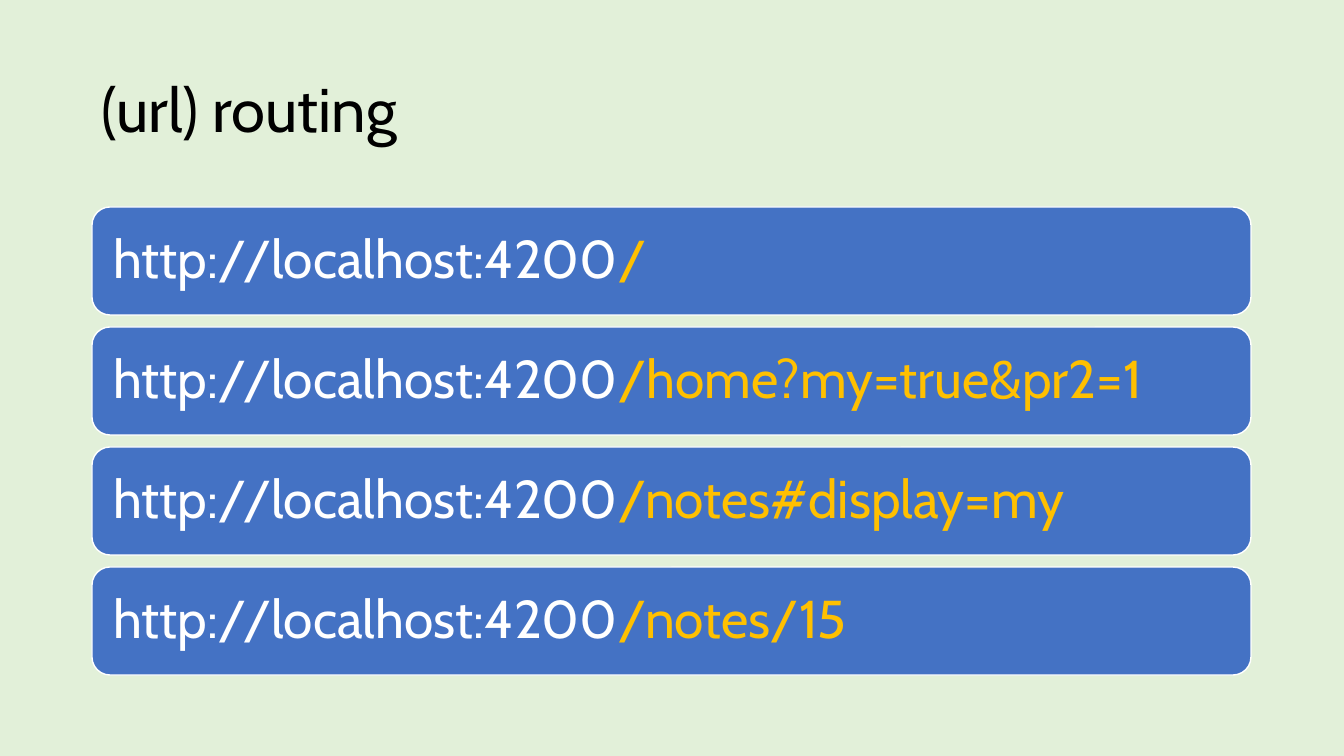
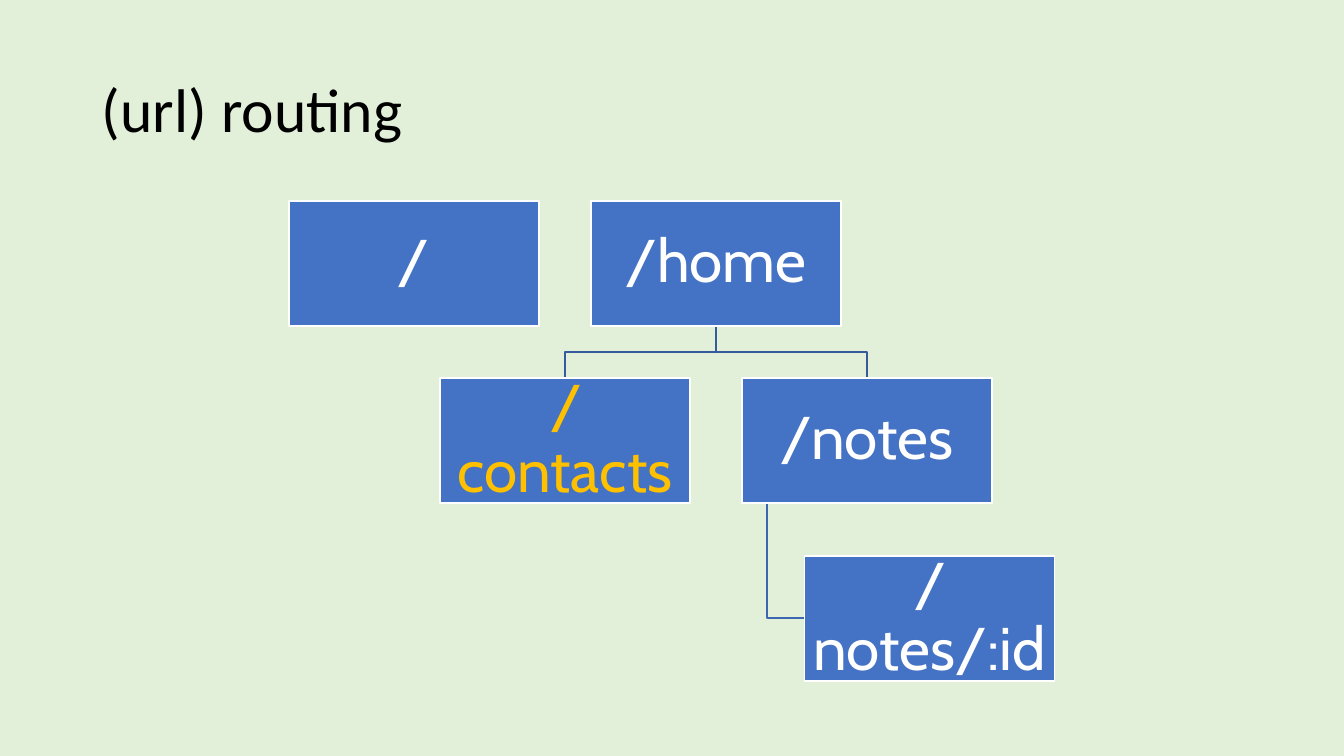
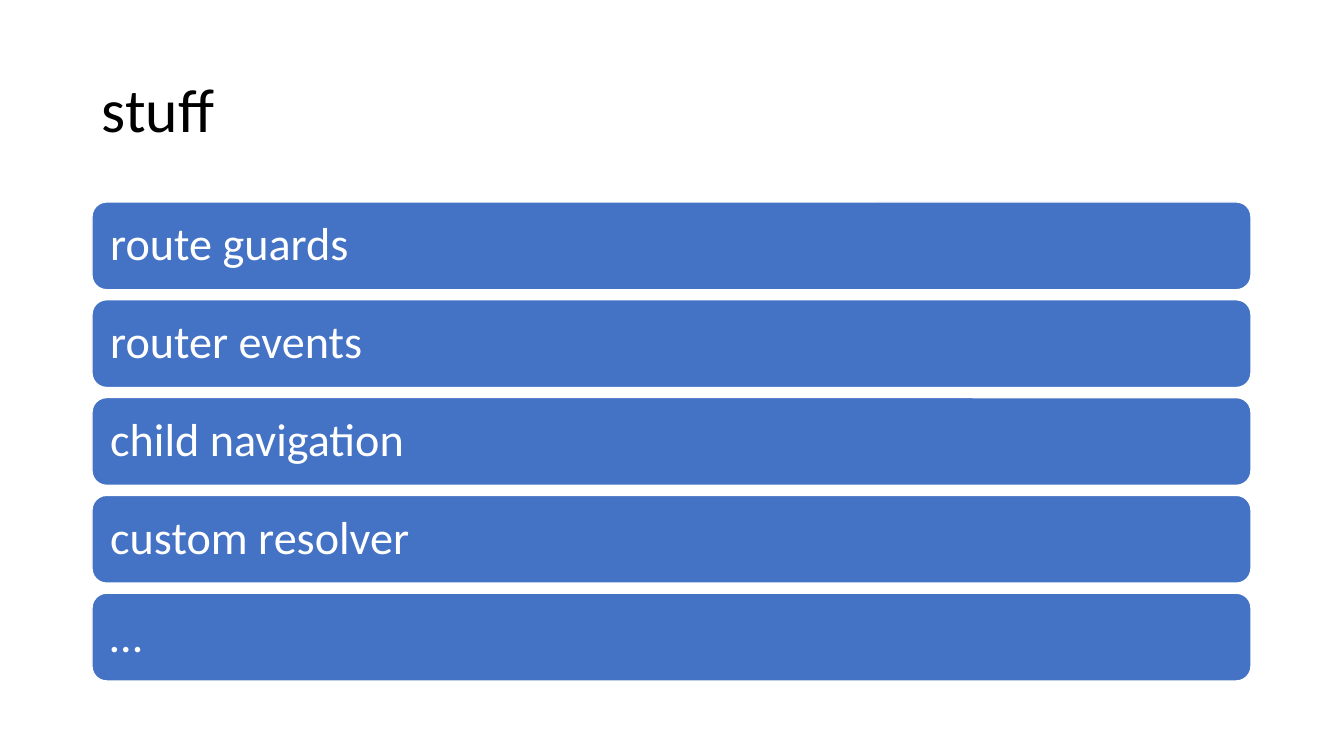
from dataclasses import dataclass

from pptx import Presentation
from pptx.dml.color import RGBColor as Color
from pptx.enum.shapes import MSO_SHAPE as Shape
from pptx.enum.text import MSO_ANCHOR as Anchor, MSO_AUTO_SIZE as AutoSize, PP_ALIGN as Align
from pptx.util import Emu, Pt

SLIDE_WIDTH, SLIDE_HEIGHT = 1344, 756
EMU_PER_PX = 12192000 / SLIDE_WIDTH


@dataclass(frozen=True)
class Theme:
    green: Color = Color.from_string("E2F0D9")
    white: Color = Color.from_string("FFFFFF")
    black: Color = Color.from_string("000000")
    blue: Color = Color.from_string("4472C4")
    amber: Color = Color.from_string("FFC000")
    branch: Color = Color.from_string("365B9D")
    sub_branch: Color = Color.from_string("3E67B2")
    display_font: str = "Cabin"
    plain_font: str = "Calibri"
    title_size: int = 44
    node_size: int = 43
    url_size: int = 38
    topic_size: int = 33
    line_width: int = 1
    line_spacing: float = 0.9


@dataclass(frozen=True)
class Box:
    left: float
    top: float
    width: float
    height: float

    @property
    def center(self):
        return self.left + self.width / 2

    @property
    def middle(self):
        return self.top + self.height / 2

    @property
    def bottom(self):
        return self.top + self.height


THEME = Theme()
TITLE_BOX = Box(92, 40, 1159, 146)


def px(length):
    return Emu(round(length * EMU_PER_PX))


def place(box):
    return px(box.left), px(box.top), px(box.width), px(box.height)


def write_line(text_frame, parts, font, size, align, margin):
    text_frame.word_wrap = True
    text_frame.auto_size = AutoSize.NONE
    text_frame.vertical_anchor = Anchor.MIDDLE
    text_frame.margin_left = text_frame.margin_right = px(margin)
    text_frame.margin_top = text_frame.margin_bottom = px(margin)
    paragraph = text_frame.paragraphs[0]
    paragraph.alignment = align
    paragraph.line_spacing = THEME.line_spacing
    for text, color in parts:
        run = paragraph.add_run()
        run.text = text
        run.font.name = font
        run.font.size = Pt(size)
        run.font.color.rgb = color


def add_titled_slide(presentation, title, font, background):
    slide = presentation.slides.add_slide(presentation.slide_layouts.get_by_name("Title Only"))
    slide.background.fill.solid()
    slide.background.fill.fore_color.rgb = background
    shape = slide.shapes.title
    shape.left, shape.top, shape.width, shape.height = place(TITLE_BOX)
    write_line(shape.text_frame, [(title, THEME.black)], font, THEME.title_size, Align.LEFT, 10)
    return slide


def add_panel(slide, preset, box, parts, font, size, align, margin):
    shape = slide.shapes.add_shape(preset, *place(box))
    shape.shadow.inherit = False
    shape.fill.solid()
    shape.fill.fore_color.rgb = THEME.blue
    shape.line.color.rgb = THEME.white
    shape.line.width = Pt(THEME.line_width)
    write_line(shape.text_frame, parts, font, size, align, margin)


def add_bar_list(slide, box, rows, gap, font, size, margin):
    height = (box.height - gap * (len(rows) - 1)) / len(rows)
    for index, parts in enumerate(rows):
        bar = Box(box.left, box.top + index * (height + gap), box.width, height)
        add_panel(slide, Shape.ROUNDED_RECTANGLE, bar, parts, font, size, Align.LEFT, margin)


def add_branch(slide, points, color):
    builder = slide.shapes.build_freeform(*points[0], scale=EMU_PER_PX)
    builder.add_line_segments(points[1:], close=False)
    shape = builder.convert_to_shape()
    shape.shadow.inherit = False
    shape.fill.background()
    shape.line.color.rgb = color
    shape.line.width = Pt(THEME.line_width)


def add_route_tree(slide, box):
    width, height, gap = 250, 125, 52
    column, row = width + gap, height + gap

    def node(columns, rows):
        return Box(box.left + columns * column, box.top + rows * row, width, height)

    root, home, contacts, notes = node(0, 0), node(1, 0), node(0.5, 1), node(1.5, 1)
    detail = Box(notes.left + width / 4, box.bottom - height, width, height)

    stem = notes.left + width / 10
    add_branch(
        slide,
        [(stem, notes.bottom), (stem, detail.middle), (detail.left, detail.middle)],
        THEME.sub_branch,
    )
    fork = home.bottom + gap / 2
    for child in (notes, contacts):
        add_branch(
            slide,
            [(home.center, home.bottom), (home.center, fork), (child.center, fork), (child.center, child.top)],
            THEME.branch,
        )

    for place_box, text, color in (
        (root, "/", THEME.white),
        (home, "/home", THEME.white),
        (contacts, "/contacts", THEME.amber),
        (notes, "/notes", THEME.white),
        (detail, "/notes/:id", THEME.white),
    ):
        add_panel(
            slide, Shape.RECTANGLE, place_box, [(text, color)],
            THEME.display_font, THEME.node_size, Align.CENTER, 3,
        )


def build_url_slide(presentation):
    slide = add_titled_slide(presentation, "(url) routing", THEME.display_font, THEME.green)
    routes = ["/", "/home?my=true&pr2=1", "/notes#display=my", "/notes/15"]
    rows = [[("http://localhost:4200", THEME.white), (route, THEME.amber)] for route in routes]
    add_bar_list(slide, Box(92, 207, 1159, 468), rows, 12, THEME.display_font, THEME.url_size, 16)


def build_tree_slide(presentation):
    slide = add_titled_slide(presentation, "(url) routing", THEME.plain_font, THEME.green)
    add_route_tree(slide, Box(289, 201, 766, 480))


def build_topics_slide(presentation):
    slide = add_titled_slide(presentation, "stuff", THEME.plain_font, THEME.white)
    topics = ["route guards", "router events", "child navigation", "custom resolver", "…"]
    rows = [[(topic, THEME.white)] for topic in topics]
    add_bar_list(slide, Box(92, 202, 1159, 479), rows, 10, THEME.plain_font, THEME.topic_size, 14)


def main():
    presentation = Presentation()
    presentation.slide_width = px(SLIDE_WIDTH)
    presentation.slide_height = px(SLIDE_HEIGHT)
    build_url_slide(presentation)
    build_tree_slide(presentation)
    build_topics_slide(presentation)
    presentation.save("out.pptx")


if __name__ == "__main__":
    main()
